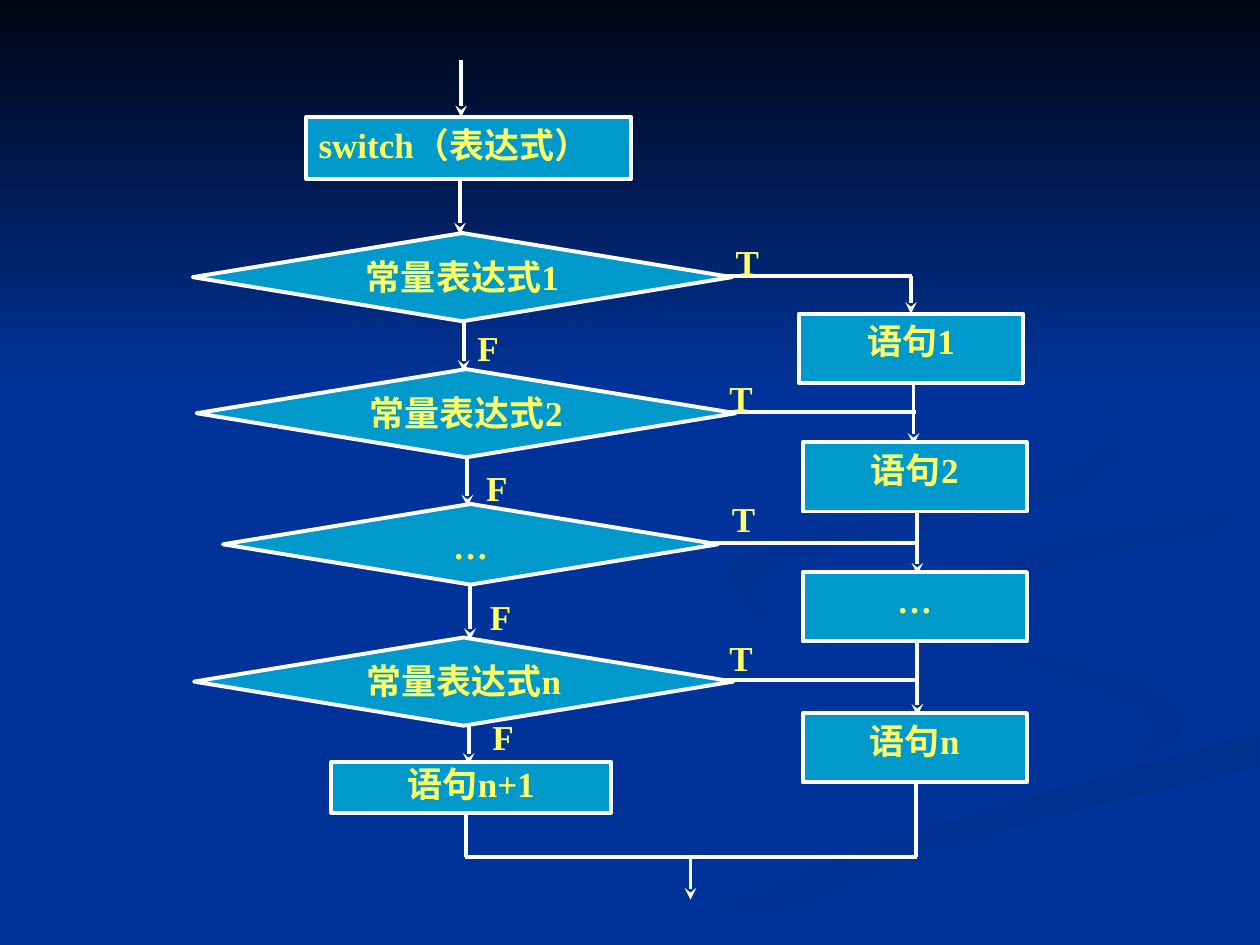
from lxml import etree
from pptx import Presentation
from pptx.dml.color import RGBColor
from pptx.enum.shapes import MSO_CONNECTOR, MSO_SHAPE
from pptx.enum.text import MSO_ANCHOR, PP_ALIGN
from pptx.oxml.ns import qn
from pptx.util import Pt

PX = 9144  # 100 px to the inch
STRAIGHT = MSO_CONNECTOR.STRAIGHT
DECISION, RECTANGLE = MSO_SHAPE.FLOWCHART_DECISION, MSO_SHAPE.RECTANGLE
LEFT, CENTER = PP_ALIGN.LEFT, PP_ALIGN.CENTER
TOP = MSO_ANCHOR.TOP
BLANK_LAYOUT = 6

COLORS = {
    "background": "003399",
    "night": "000514",
    "wave": "003193",
    "wave_dark": "002F8C",
    "box": "0099CC",
    "line": "FFFFFF",
    "text": "FFFF66",
}

# Each wave: first colour, last colour, gradient angle, outline points
WAVES = [
    ("background", "wave", 315, [
        (943, 570), (905, 540), (792, 509), (733, 483), (724, 464), (746, 500),
        (838, 536), (907, 562), (918, 581), (894, 605), (932, 589)]),
    ("wave_dark", "background", 270, [
        (503, 749), (571, 749), (695, 692), (821, 651), (998, 609), (998, 581),
        (831, 629), (696, 669), (569, 719)]),
    ("wave", "background", 315, [
        (781, 460), (791, 478), (826, 496), (805, 476), (828, 453), (896, 435),
        (998, 420), (998, 402), (849, 427), (791, 447)]),
    ("wave_dark", "background", 315, [
        (683, 430), (786, 412), (855, 391), (889, 362), (890, 324), (843, 275),
        (762, 233), (846, 279), (885, 320), (886, 348), (852, 374), (763, 398),
        (649, 420), (589, 441), (578, 456), (596, 488), (622, 500), (593, 470),
        (614, 448)]),
]

STATEMENT_WIDTH, STATEMENT_HEIGHT = 178, 55
TRUNK_OFFSET = 90  # from a statement's left edge to the line through it
END_Y = 680
# Decision text and box, statement text and corner, T corner, F corner, exit x
CASES = [
    ("常量表达式1", (153, 185, 428, 70), "语句1", (634, 249), (574, 191), (369, 259), 368),
    ("常量表达式2", (156, 293, 428, 70), "语句2", (637, 351), (569, 299), (376, 370), 371),
    ("…", (177, 400, 393, 64), "…", (637, 454), (571, 395), (379, 473), 373),
    ("常量表达式n", (154, 506, 428, 70), "语句n", (637, 566), (569, 505), (381, 568), 372),
]
SWITCH_BOX = (243, 93, 258, 49)
DEFAULT_BOX = (263, 605, 222, 40)


def color(name):
    return RGBColor.from_string(COLORS[name])


def fill_gradient(shape, first, last, angle):
    shape.shadow.inherit = False
    shape.line.fill.background()
    shape.fill.gradient()
    shape.fill.gradient_angle = angle
    for stop, name, position in zip(shape.fill.gradient_stops, (first, last), (0, 1)):
        stop.color.rgb = color(name)
        stop.position = position


def add_background(slide, width, height):
    slide.background.fill.solid()
    slide.background.fill.fore_color.rgb = color("background")
    for first, last, angle, points in WAVES:
        builder = slide.shapes.build_freeform(*points[0], scale=PX)
        builder.add_line_segments(points[1:], close=True)
        fill_gradient(builder.convert_to_shape(), first, last, angle)
    sky = slide.shapes.add_shape(RECTANGLE, 0, 0, width * PX, height * PX)
    fill_gradient(sky, "night", "background", 270)


def add_line(slide, start_x, start_y, end_x, end_y, arrow=False):
    ends = [value * PX for value in (start_x, start_y, end_x, end_y)]
    connector = slide.shapes.add_connector(STRAIGHT, *ends)
    connector.line.color.rgb = color("line")
    connector.line.width = Pt(2.25)
    if arrow:
        outline = connector._element.spPr.find(qn("a:ln"))
        etree.SubElement(outline, qn("a:tailEnd"), type="stealth")
    etree.SubElement(connector._element.spPr, qn("a:effectLst"))


def add_down_arrow(slide, x, top, bottom):
    add_line(slide, x, top, x, bottom, arrow=True)


def write_text(shape, text, align=CENTER, top=5, bottom=5):
    frame = shape.text_frame
    frame.word_wrap = True
    frame.vertical_anchor = TOP
    frame.margin_left = frame.margin_right = 10 * PX
    frame.margin_top, frame.margin_bottom = top * PX, bottom * PX
    paragraph = frame.paragraphs[0]
    paragraph.text = text
    paragraph.alignment = align
    paragraph.font.name = "Times New Roman"
    paragraph.font.size = Pt(20)
    paragraph.font.bold = True
    paragraph.font.color.rgb = color("text")


def add_node(slide, kind, box, text, **text_format):
    shape = slide.shapes.add_shape(kind, *[value * PX for value in box])
    shape.shadow.inherit = False
    shape.fill.solid()
    shape.fill.fore_color.rgb = color("box")
    shape.line.color.rgb = color("line")
    shape.line.width = Pt(2.25)
    write_text(shape, text, **text_format)


def add_label(slide, corner, text):
    left, top = corner
    label = slide.shapes.add_textbox(left * PX, top * PX, 71 * PX, 30 * PX)
    write_text(label, text, align=LEFT, top=0, bottom=0)


def add_case(slide, case, next_decision_top, next_statement_top):
    """Draw one decision, its statement and the lines that leave them."""
    condition, box, statement, corner, true_corner, false_corner, exit_x = case
    left, top, width, height = box
    trunk_x = corner[0] + TRUNK_OFFSET
    statement_bottom = corner[1] + STATEMENT_HEIGHT
    branch_y = top + height // 2 - 1
    add_down_arrow(slide, exit_x, top + height, next_decision_top + 2)
    if next_statement_top:
        add_down_arrow(slide, trunk_x + 1, statement_bottom, next_statement_top + 2)
    else:
        add_line(slide, trunk_x, statement_bottom, trunk_x, END_Y)
    add_node(slide, DECISION, box, condition, top=0)
    add_node(slide, RECTANGLE, (*corner, STATEMENT_WIDTH, STATEMENT_HEIGHT), statement)
    add_line(slide, left + width - 6, branch_y, trunk_x, branch_y)
    add_label(slide, true_corner, "T")
    add_label(slide, false_corner, "F")


def add_flowchart(slide):
    first_top, first_statement = CASES[0][1][1], CASES[0][3]
    add_down_arrow(slide, 366, 48, SWITCH_BOX[1])
    add_down_arrow(slide, 365, SWITCH_BOX[1] + SWITCH_BOX[3], first_top + 1)
    add_down_arrow(slide, first_statement[0] + TRUNK_OFFSET - 1, 219, first_statement[1])
    add_node(slide, RECTANGLE, SWITCH_BOX, "switch（表达式）", align=LEFT)
    decision_tops = [case[1][1] for case in CASES[1:]] + [DEFAULT_BOX[1]]
    statement_tops = [case[3][1] for case in CASES[1:]] + [None]
    for case, decision_top, statement_top in zip(CASES, decision_tops, statement_tops):
        add_case(slide, case, decision_top, statement_top)
    add_node(slide, RECTANGLE, DEFAULT_BOX, "语句n+1", top=0, bottom=0)
    add_line(slide, 370, DEFAULT_BOX[1] + DEFAULT_BOX[3], 370, END_Y)
    add_line(slide, 369, END_Y, 728, END_Y)
    add_down_arrow(slide, 548, END_Y, 714)


def main():
    presentation = Presentation()
    presentation.slide_width, presentation.slide_height = 1000 * PX, 750 * PX
    slide = presentation.slides.add_slide(presentation.slide_layouts[BLANK_LAYOUT])
    add_background(slide, 1000, 308)
    add_flowchart(slide)
    presentation.save("out.pptx")


if __name__ == "__main__":
    main()
